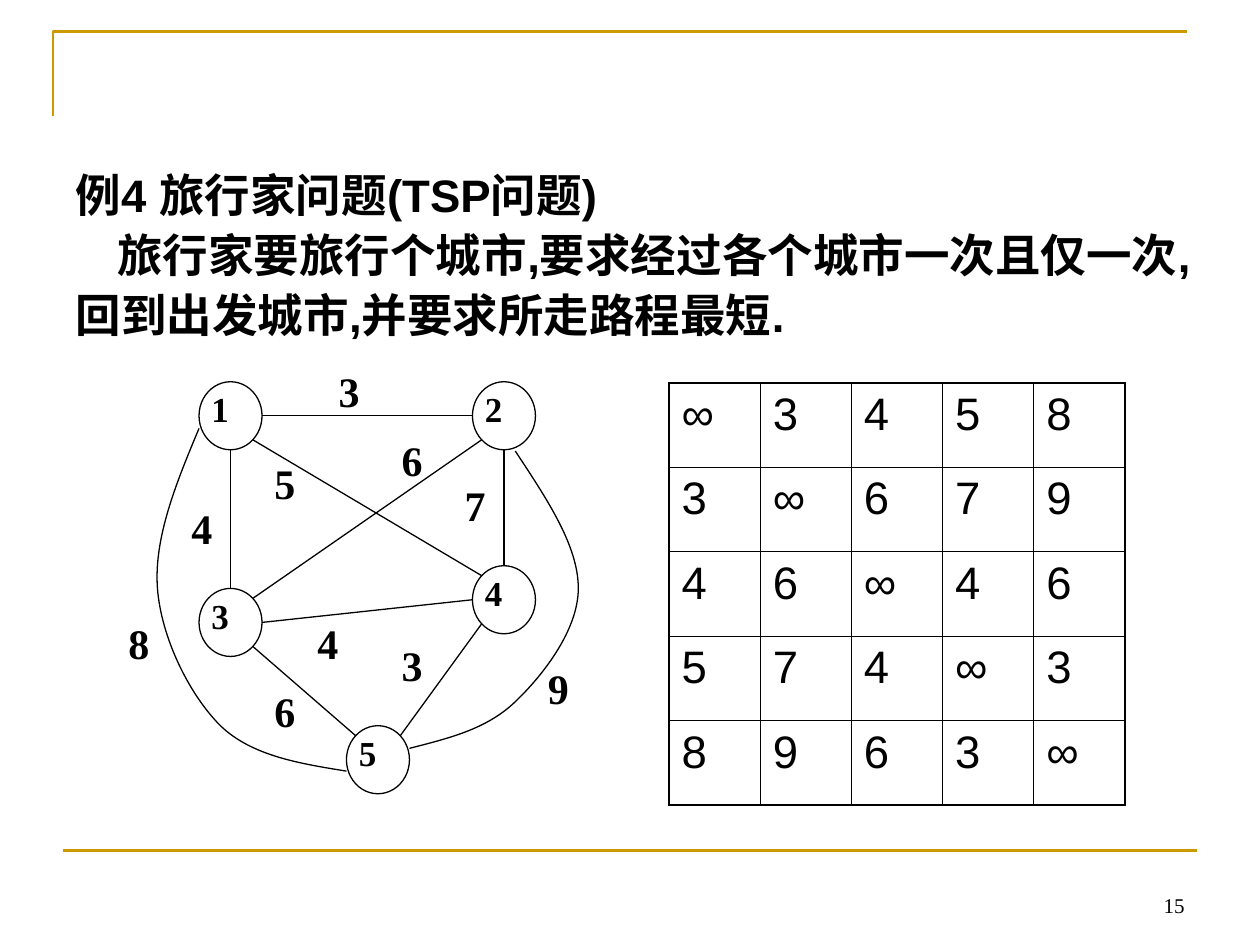
from dataclasses import dataclass
from math import cos, radians, sin

from lxml import etree
from pptx import Presentation
from pptx.dml.color import RGBColor
from pptx.enum import shapes, text
from pptx.oxml import ns
from pptx.util import Inches, Pt


@dataclass(frozen=True)
class Theme:
    ink: RGBColor = RGBColor(0, 0, 0)
    paper: RGBColor = RGBColor(255, 255, 255)
    accent: RGBColor = RGBColor(0xCC, 0x99, 0x00)
    sans: str = "Arial"
    serif: str = "Times New Roman"
    body: int = 26
    weight: int = 24
    city: int = 20
    number: int = 12
    rule: float = 1.5
    edge: float = 0.75
    table_inner: float = 0.45
    table_outer: float = 1.08


THEME = Theme()
NODE_W, NODE_H = 0.5, 0.54
CITIES = {"1": (1.58, 3.03), "2": (3.75, 3.03), "3": (1.58, 4.67),
          "4": (3.75, 4.49), "5": (2.75, 5.76)}
ANGLES = {"E": 0, "SE": 45, "S": 90, "SW": 135, "W": 180, "NW": 225, "N": 270, "NE": 315}
# city, side it leaves from, city, side it reaches
ROADS = [("1", "E", "2", "W"), ("1", "S", "3", "N"), ("3", "SE", "5", "NW"),
         ("5", "NE", "4", "SW"), ("2", "S", "4", "N"), ("1", "SE", "4", "NW"),
         ("2", "SW", "3", "NE"), ("3", "E", "4", "W")]
# start point, then two control points and an end point for each curve
DETOURS = [
    [(1.58, 3.4), (1.4, 3.83), (1.22, 4.27), (1.25, 4.67), (1.28, 5.06),
     (1.5, 5.51), (1.75, 5.76), (2, 6), (2.38, 6.06), (2.75, 6.12)],
    [(4.09, 3.58), (4.34, 3.96), (4.59, 4.33), (4.59, 4.67), (4.59, 5),
     (4.31, 5.36), (4.09, 5.57), (3.86, 5.79), (3.56, 5.86), (3.25, 5.94)],
]
WEIGHTS = [("3", 2.59, 2.85), ("5", 2.08, 3.58), ("4", 1.42, 3.94), ("6", 2.08, 5.39),
           ("3", 3.09, 5.03), ("4", 2.42, 4.85), ("8", 0.92, 4.85), ("9", 4.25, 5.21),
           ("7", 3.59, 3.76), ("6", 3.09, 3.4)]
DISTANCES = ["∞3458", "3∞679", "46∞46", "574∞3", "8963∞"]


def set_font(para, size, name, bold=False):
    font = para.font
    font.size, font.name, font.bold = Pt(size), name, bold
    font.color.rgb = THEME.ink


def set_line(shape, color, width):
    shape.line.color.rgb = color
    shape.line.width = Pt(width)


def add_line(group, start, end, color, width):
    line = group.add_connector(shapes.MSO_CONNECTOR.STRAIGHT,
                               *(Inches(value) for value in (*start, *end)))
    set_line(line, color, width)
    etree.SubElement(line._element.spPr, ns.qn("a:effectLst"))


def add_outline(group, points, color, width):
    """Draw an open, unfilled polyline."""
    scaled = [(Inches(x), Inches(y)) for x, y in points]
    builder = group.build_freeform(*scaled[0])
    builder.add_line_segments(scaled[1:], close=False)
    outline = builder.convert_to_shape()
    outline.fill.background()
    outline.shadow.inherit = False
    set_line(outline, color, width)
    return outline


def add_curve(group, points):
    """Draw an outline whose points, three at a time, become Bezier curves."""
    curve = add_outline(group, points, THEME.ink, THEME.edge)
    segments = list(curve._element.iter(ns.qn("a:lnTo")))
    for first in range(0, len(segments), 3):
        bend, *others = segments[first:first + 3]
        cubic = etree.Element(ns.qn("a:cubicBezTo"))
        bend.addprevious(cubic)
        for segment in (bend, *others):
            cubic.append(segment[0])
            segment.getparent().remove(segment)


def add_label(group, words, left, top, size, width=NODE_W, height=NODE_H, bold=True):
    box = group.add_textbox(Inches(left), Inches(top), Inches(width), Inches(height))
    box.text_frame.word_wrap = True
    para = box.text_frame.paragraphs[0]
    para.text = words
    set_font(para, size, THEME.serif, bold)
    return box


def add_city(group, left, top):
    circle = group.add_shape(shapes.MSO_SHAPE.OVAL, Inches(left), Inches(top),
                             Inches(NODE_W), Inches(NODE_H))
    circle.shadow.inherit = False
    circle.fill.solid()
    circle.fill.fore_color.rgb = THEME.paper
    set_line(circle, THEME.ink, THEME.edge)


def rim_point(city, side):
    left, top = CITIES[city]
    angle = radians(ANGLES[side])
    return (left + NODE_W / 2 * (1 + cos(angle)), top + NODE_H / 2 * (1 + sin(angle)))


def add_city_map(page):
    group = page.shapes.add_group_shape().shapes
    for corner in CITIES.values():
        add_city(group, *corner)
    for start, leaving, end, reaching in ROADS:
        add_line(group, rim_point(start, leaving), rim_point(end, reaching),
                 THEME.ink, THEME.edge)
    for points in DETOURS:
        add_curve(group, points)
    for name, corner in CITIES.items():
        add_label(group, name, *corner, THEME.city)
    for weight, left, top in WEIGHTS:
        add_label(group, weight, left, top, THEME.weight)


def set_border(cell, side, width):
    props = cell._tc.get_or_add_tcPr()
    line = etree.SubElement(props, ns.qn(f"a:ln{side}"), w=str(Pt(width)))
    fill = etree.SubElement(line, ns.qn("a:solidFill"))
    etree.SubElement(fill, ns.qn("a:srgbClr"), val=str(THEME.ink))


def add_distance_table(page):
    count = len(DISTANCES)
    table = page.shapes.add_table(count, count, Inches(5.31), Inches(3.04),
                                  Inches(3.62), Inches(3.35)).table
    table.first_row = table.horz_banding = False
    last = count - 1
    for r, row in enumerate(DISTANCES):
        for c, distance in enumerate(row):
            cell = table.cell(r, c)
            para = cell.text_frame.paragraphs[0]
            para.text = distance
            para.space_before = Pt(6.5)
            set_font(para, THEME.body, THEME.sans)
            outer = {"L": c == 0, "R": c == last, "T": r == 0, "B": r == last}
            for side, is_outer in outer.items():
                set_border(cell, side, THEME.table_outer if is_outer else THEME.table_inner)
            cell.fill.background()


def fill_body(page):
    body = page.placeholders[1]
    body.left, body.top, body.width, body.height = map(Inches, (0.5, 1.23, 8.99, 1.57))
    frame = body.text_frame
    frame.auto_size = text.MSO_AUTO_SIZE.NONE
    frame.text = ("例4 旅行家问题(TSP问题)\n"
                  "旅行家要旅行个城市,要求经过各个城市一次且仅一次,回到出发城市,并要求所走路程最短.")
    for para, indent in zip(frame.paragraphs, (0, 0.33)):
        para.line_spacing = 1.1
        para.space_before = Pt(0)
        set_font(para, THEME.body, THEME.sans, bold=True)
        props = para._p.get_or_add_pPr()
        props.set("marL", "0")
        props.set("indent", str(Inches(indent)))
        etree.SubElement(props, ns.qn("a:buNone"))
        # bullets come before the default run properties
        props.append(props.find(ns.qn("a:defRPr")))


def add_page_number(page):
    box = add_label(page.shapes, "15", 7.17, 6.83, THEME.number, 2.33, 0.5, bold=False)
    box.text_frame.vertical_anchor = text.MSO_ANCHOR.BOTTOM
    box.text_frame.paragraphs[0].alignment = text.PP_ALIGN.RIGHT


def main():
    deck = Presentation()
    deck.slide_width, deck.slide_height = Inches(10), Inches(7.5)
    page = deck.slides.add_slide(deck.slide_layouts[1])
    title = page.shapes.title._element
    title.getparent().remove(title)
    add_outline(page.shapes, [(0.42, 0.92), (0.42, 0.25), (9.42, 0.25)],
                THEME.accent, THEME.rule)
    add_line(page.shapes, (0.5, 6.75), (9.5, 6.75), THEME.accent, THEME.rule)
    fill_body(page)
    add_city_map(page)
    add_distance_table(page)
    add_page_number(page)
    deck.save("out.pptx")


if __name__ == "__main__":
    main()
